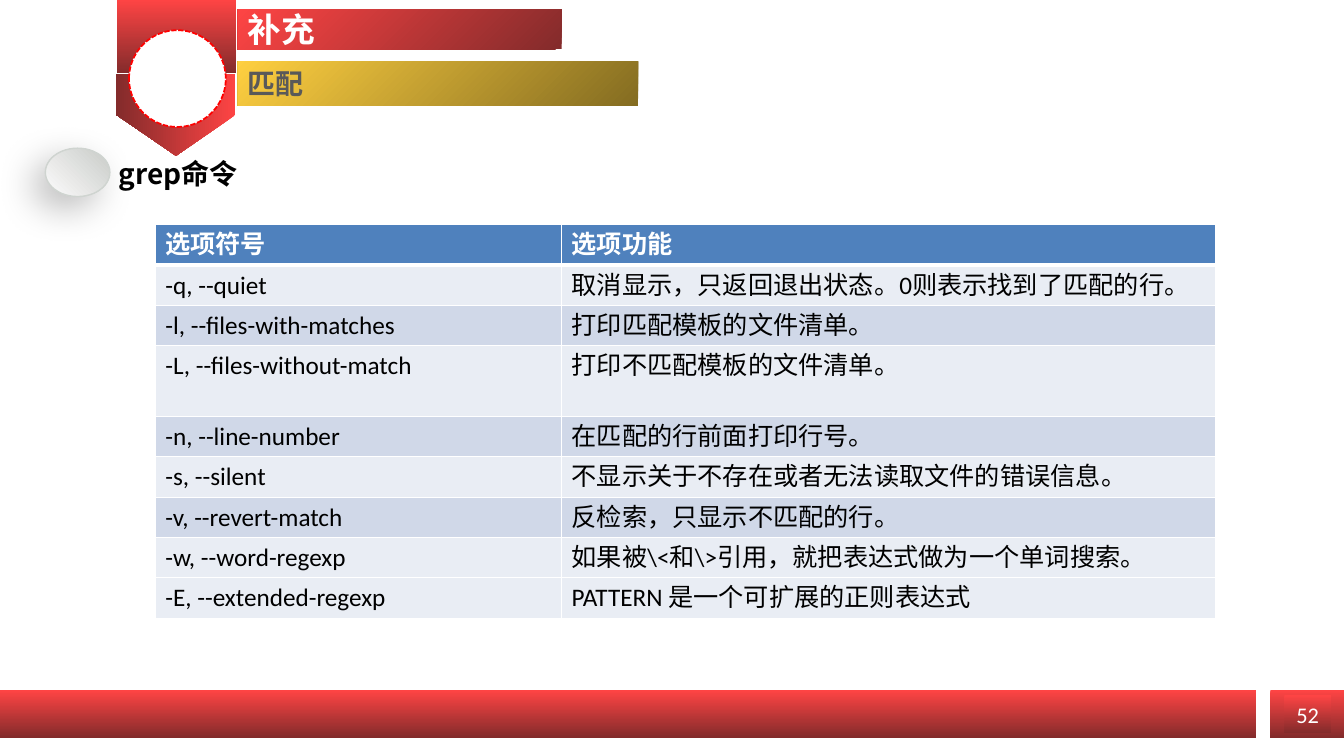
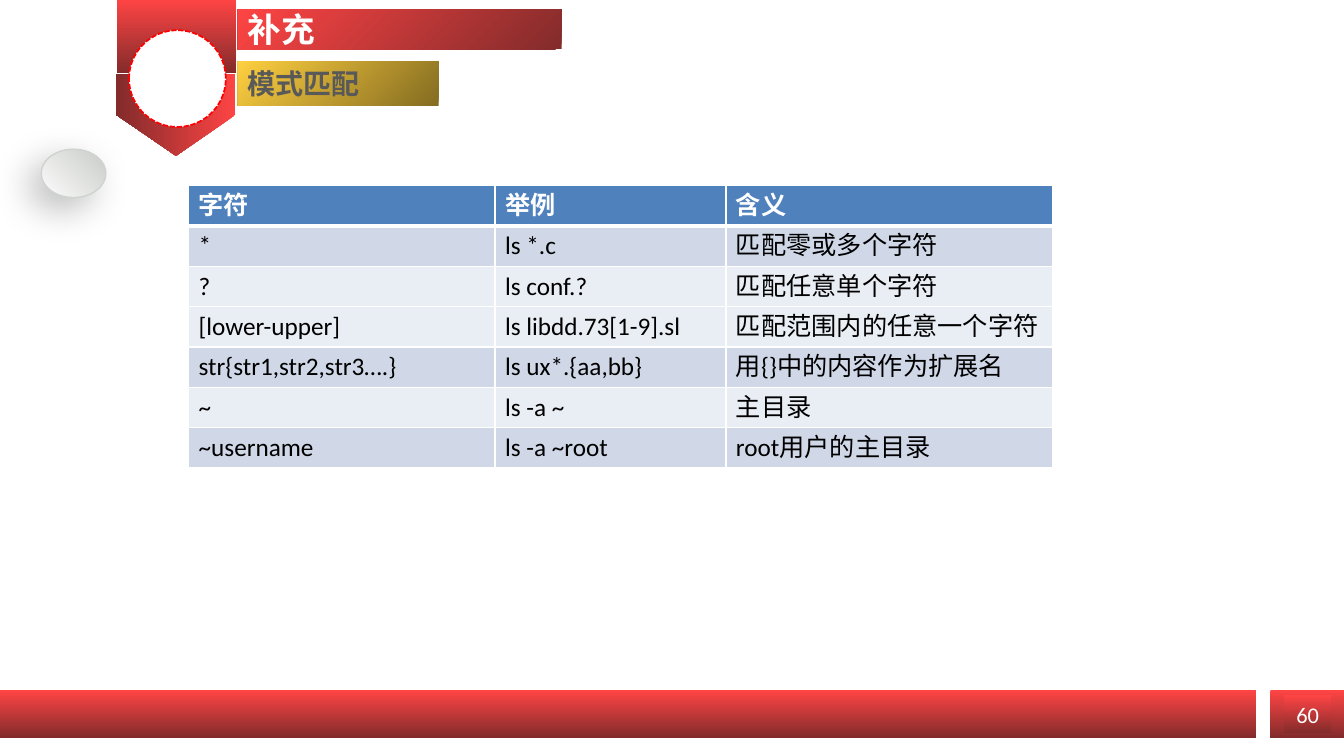
from lxml import etree
from pptx import Presentation
from pptx.dml.color import RGBColor
from pptx.enum.dml import MSO_LINE
from pptx.enum.shapes import MSO_SHAPE as SHAPE
from pptx.enum.text import MSO_ANCHOR as ANCHOR, PP_ALIGN as ALIGN
from pptx.oxml.ns import qn
from pptx.util import Inches, Pt

RED = ("FE4444", "832B2B")
GOLD = ("FECF40", "846C21")
SILVER = ("C9CBC8", "FCFCFC")
WHITE, BLACK, GREY = "FFFFFF", "000000", "595959"
HEADER, DARK, LIGHT = "4F81BD", "D0D8E8", "E9EDF4"
LATIN, CJK = "Calibri", "Noto Sans CJK SC"
ROW = 0.4


def rgb(value):
    return RGBColor.from_string(value)


def child(parent, tag, **attrs):
    return etree.SubElement(parent, qn(tag), {k: str(v) for k, v in attrs.items()})


class Deck:
    """Holds the presentation, its shared style and the current slide."""

    def __init__(self):
        self.prs = Presentation()
        self.prs.slide_width, self.prs.slide_height = Inches(13.33), Inches(7.5)

    def run(self, p, text, size, color, font=LATIN, bold=False):
        r = p.add_run()
        r.text = text
        r.font.size, r.font.bold, r.font.name = Pt(size), bold, font
        r.font.color.rgb = rgb(color)
        child(r.font._element, "a:ea", typeface=font)

    def shape(self, kind, x, y, w, h, colors, angle=270):
        sp = self.slide.shapes.add_shape(
            kind, Inches(x), Inches(y), Inches(w), Inches(h))
        sp.shadow.inherit = False
        sp.line.fill.background()
        if isinstance(colors, str):
            sp.fill.solid()
            sp.fill.fore_color.rgb = rgb(colors)
        else:
            sp.fill.gradient()
            sp.fill.gradient_angle = angle
            for stop, color, pos in zip(sp.fill.gradient_stops, colors, (0, 1)):
                stop.color.rgb, stop.position = rgb(color), pos
        return sp

    def band(self, y, w, h, colors, text, size, color, font):
        sp = self.shape(SHAPE.RECTANGLE, 2.36, y, w, h, colors)
        grad = sp._element.spPr.find(qn("a:gradFill"))
        grad.remove(grad.find(qn("a:lin")))
        child(child(grad, "a:path", path="circle"), "a:fillToRect", r=100000, b=100000)
        sp.text_frame.vertical_anchor = ANCHOR.MIDDLE
        p = sp.text_frame.paragraphs[0]
        p.alignment = ALIGN.LEFT
        self.run(p, text, size, color, font, True)

    def page(self, number, subtitle, subtitle_width):
        self.slide = self.prs.slides.add_slide(self.prs.slide_layouts[6])
        self.shape(SHAPE.PENTAGON, 1.34, 0.55, 0.81, 1.18, RED).rotation = 90
        for x, y, w, h in ((1.16, 0, 1.18, 0.73), (0, 6.85, 12.46, 0.47),
                           (12.6, 6.85, 0.74, 0.47)):
            self.shape(SHAPE.RECTANGLE, x, y, w, h, RED)
        sp = self.shape(SHAPE.RECTANGLE, 12.74, 6.9, 0.46, 0.37, RED)
        sp.text_frame.word_wrap = False
        p = sp.text_frame.paragraphs[0]
        p.alignment = ALIGN.CENTER
        self.run(p, str(number), 16, WHITE)
        self.band(0.09, 3.21, 0.4, RED, "补充", 24, WHITE, LATIN)
        ring = self.shape(SHAPE.OVAL, 1.28, 0.3, 0.96, 0.96, WHITE)
        ring.line.color.rgb, ring.line.width = rgb("FF0000"), Pt(1.25)
        ring.line.dash_style = MSO_LINE.SQUARE_DOT
        self.band(0.61, subtitle_width, 0.44, GOLD, subtitle, 20, GREY, CJK)

    def bullet(self, x, y):
        sp = self.shape(SHAPE.OVAL, x, y, 0.64, 0.48, SILVER, 225)
        sp.line.color.rgb, sp.line.width = rgb("CFD4D0"), Pt(1)
        effects = sp._element.spPr.find(qn("a:effectLst"))
        shadow = child(effects, "a:outerShdw", blurRad=Pt(27), dist=Pt(12),
                       dir=135 * 60000, algn="tr", rotWithShape=0)
        child(child(shadow, "a:srgbClr", val=BLACK), "a:alpha", val=26000)

    def heading(self, x, y, w, h, text):
        sp = self.slide.shapes.add_textbox(Inches(x), Inches(y), Inches(w), Inches(h))
        sp.text_frame.word_wrap = True
        self.run(sp.text_frame.paragraphs[0], text, 20, BLACK, CJK, True)

    def cell(self, cell, text, fill, top, bottom, header):
        tc_pr = cell._tc.get_or_add_tcPr()
        for side, width in (("L", 1), ("R", 1), ("T", top), ("B", bottom)):
            ln = child(tc_pr, f"a:ln{side}", w=Pt(width))
            child(child(ln, "a:solidFill"), "a:srgbClr", val=WHITE)
        cell.fill.solid()
        cell.fill.fore_color.rgb = rgb(fill)
        self.run(cell.text_frame.paragraphs[0], text, 18,
                 WHITE if header else BLACK, bold=header)

    def table(self, x, y, widths, rows, fills, heights=None):
        heights = heights or [ROW] * len(rows)
        table = self.slide.shapes.add_table(
            len(rows), len(widths), Inches(x), Inches(y),
            Inches(sum(widths)), Inches(sum(heights))).table
        for column, width in zip(table.columns, widths):
            column.width = Inches(width)
        for i, (row, fill, height) in enumerate(zip(rows, fills, heights)):
            table.rows[i].height = Inches(height)
            top, bottom = 3 if i == 1 else 1, 3 if i == 0 else 1
            for j, text in enumerate(row):
                self.cell(table.cell(i, j), text, fill, top, bottom, i == 0)


def main():
    deck = Deck()

    deck.page(52, "匹配", 3.97)
    deck.bullet(0.45, 1.47)
    deck.heading(1.08, 1.5, 5.44, 0.44, "grep命令")
    options = [
        ("选项符号", "选项功能"),
        ("-q, --quiet", "取消显示，只返回退出状态。0则表示找到了匹配的行。"),
        ("-l, --files-with-matches", "打印匹配模板的文件清单。"),
        ("-L, --files-without-match", "打印不匹配模板的文件清单。"),
        ("-n, --line-number", "在匹配的行前面打印行号。"),
        ("-s, --silent", "不显示关于不存在或者无法读取文件的错误信息。"),
        ("-v, --revert-match", "反检索，只显示不匹配的行。"),
        ("-w, --word-regexp", "如果被\\<和\\>引用，就把表达式做为一个单词搜索。"),
        ("-E, --extended-regexp", "PATTERN 是一个可扩展的正则表达式"),
    ]
    deck.table(1.54, 2.23, (4.03, 6.49), options,
               [HEADER] + [LIGHT, DARK] * 3 + [LIGHT] * 2,
               [ROW] * 3 + [0.7] + [ROW] * 5)

    deck.page(60, "模式匹配", 1.99)
    deck.bullet(0.41, 1.48)
    wildcards = [
        ("字符", "举例", "含义"),
        ("*", "ls *.c", "匹配零或多个字符"),
        ("?", "ls conf.?", "匹配任意单个字符"),
        ("[lower-upper]", "ls libdd.73[1-9].sl", "匹配范围内的任意一个字符"),
        ("str{str1,str2,str3….}", "ls ux*.{aa,bb}", "用{}中的内容作为扩展名"),
        ("~", "ls -a ~", "主目录"),
        ("~username", "ls -a ~root", "root用户的主目录"),
    ]
    deck.table(1.87, 1.84, (3.04, 2.29, 3.24), wildcards,
               [HEADER, DARK, LIGHT, LIGHT, DARK, LIGHT, DARK])

    deck.prs.save("out.pptx")


if __name__ == "__main__":
    main()
